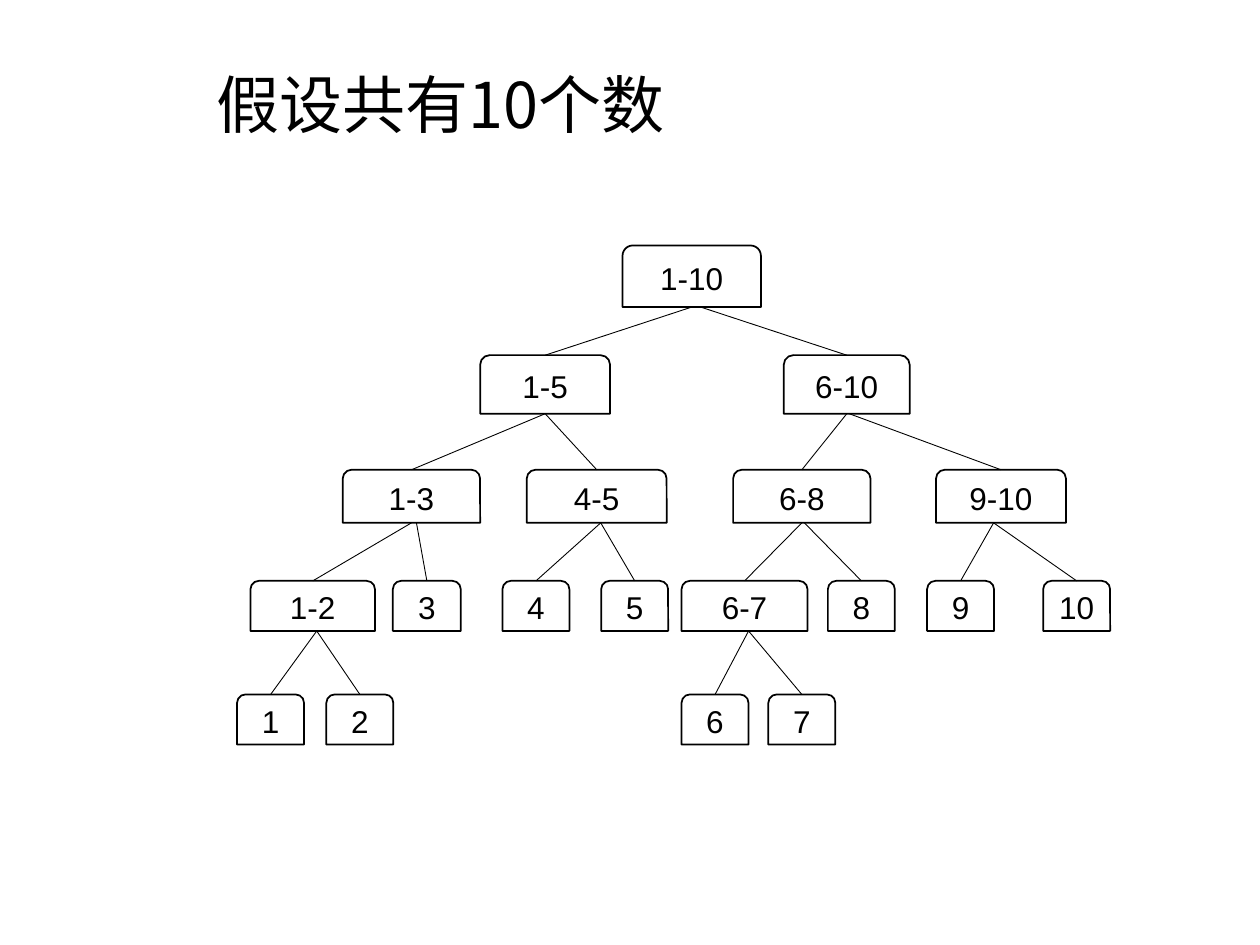
from dataclasses import dataclass

from lxml.etree import SubElement
from pptx import Presentation
from pptx.dml.color import RGBColor
from pptx.enum.shapes import MSO_CONNECTOR as Connector, MSO_SHAPE as Shape
from pptx.enum.text import MSO_ANCHOR as Anchor, MSO_AUTO_SIZE as AutoSize, PP_ALIGN as Align
from pptx.oxml.ns import qn
from pptx.util import Cm, Pt

BLACK = "000000"
BODY_FONT = "Arial"
TITLE_FONT = "Noto Sans CJK SC"


@dataclass(frozen=True)
class Level:
    top: float
    height: float


@dataclass(frozen=True)
class Node:
    text: str
    left: float
    width: float = 1.35
    children: tuple["Node", ...] = ()
    forks: tuple[float, float] = (0, 0)

    @property
    def center(self) -> float:
        return self.left + self.width / 2


LEVELS = [
    Level(4.95, 1.24),
    Level(7.16, 1.18),
    Level(9.47, 1.07),
    Level(11.71, 1.01),
    Level(14, 1.01),
]

TREE = Node("1-10", 12.55, 2.79, (
    Node("1-5", 9.68, 2.62, (
        Node("1-3", 6.91, 2.77, (
            Node("1-2", 5.05, 2.51, (Node("1", 4.78), Node("2", 6.58)), (0.08, 0.08)),
            Node("3", 7.92, 1.37),
        ), (0, 0.1)),
        Node("4-5", 10.62, 2.82, (Node("4", 10.13), Node("5", 12.12)), (0.08, 0.08)),
    )),
    Node("6-10", 15.8, 2.54, (
        Node("6-8", 14.78, 2.77, (
            Node("6-7", 13.74, 2.54, (Node("6", 13.74), Node("7", 15.49)), (0.08, 0.08)),
            Node("8", 16.69),
        ), (0, 0.05)),
        Node("9-10", 18.87, 2.62, (Node("9", 18.69), Node("10", 21.03)), (-0.15, -0.15)),
    ), (0, 0.05)),
), (0, 0.18))


def color(value: str) -> RGBColor:
    return RGBColor.from_string(value)


def add_run(p, text: str, size: float, font: str) -> None:
    r = p.add_run()
    r.text = text
    r.font.size = Pt(size)
    r.font.name = font
    r.font.color.rgb = color(BLACK)
    SubElement(r.font._element, qn("a:ea")).set("typeface", font)


def add_title(s, text: str) -> None:
    sp = s.shapes.title
    sp.left, sp.top, sp.width, sp.height = Cm(4.11), Cm(1.19), Cm(14.68), Cm(1.78)
    tf = sp.text_frame
    tf.word_wrap = True
    tf.auto_size = AutoSize.SHAPE_TO_FIT_TEXT
    tf.vertical_anchor = Anchor.TOP
    p = tf.paragraphs[0]
    p.alignment = Align.LEFT
    add_run(p, text, 36, TITLE_FONT)


def add_box(s, node: Node, level: Level) -> None:
    sp = s.shapes.add_shape(
        Shape.ROUND_2_SAME_RECTANGLE,
        Cm(node.left), Cm(level.top), Cm(node.width), Cm(level.height),
    )
    sp.shadow.inherit = False
    sp.fill.background()
    sp.line.color.rgb = color(BLACK)
    sp.line.width = Pt(1)
    tf = sp.text_frame
    tf.word_wrap = False
    tf.vertical_anchor = Anchor.MIDDLE
    p = tf.paragraphs[0]
    p.alignment = Align.CENTER
    add_run(p, node.text, 18, BODY_FONT)


def add_branch(s, x1: float, y1: float, x2: float, y2: float) -> None:
    line = s.shapes.add_connector(Connector.STRAIGHT, Cm(x1), Cm(y1), Cm(x2), Cm(y2))
    line.line.color.rgb = color(BLACK)
    line.line.width = Pt(0.5)
    SubElement(line._element.spPr, qn("a:effectLst"))


def add_tree(s, node: Node, depth: int = 0) -> None:
    level = LEVELS[depth]
    add_box(s, node, level)
    for child, fork in zip(node.children, node.forks):
        add_branch(
            s, node.center + fork, level.top + level.height,
            child.center, LEVELS[depth + 1].top,
        )
        add_tree(s, child, depth + 1)


def main() -> None:
    prs = Presentation()
    prs.slide_width, prs.slide_height = Cm(25.4), Cm(19.05)
    s = prs.slides.add_slide(prs.slide_layouts[5])
    add_title(s, "假设共有10个数")
    add_tree(s, TREE)
    prs.save("out.pptx")


if __name__ == "__main__":
    main()
